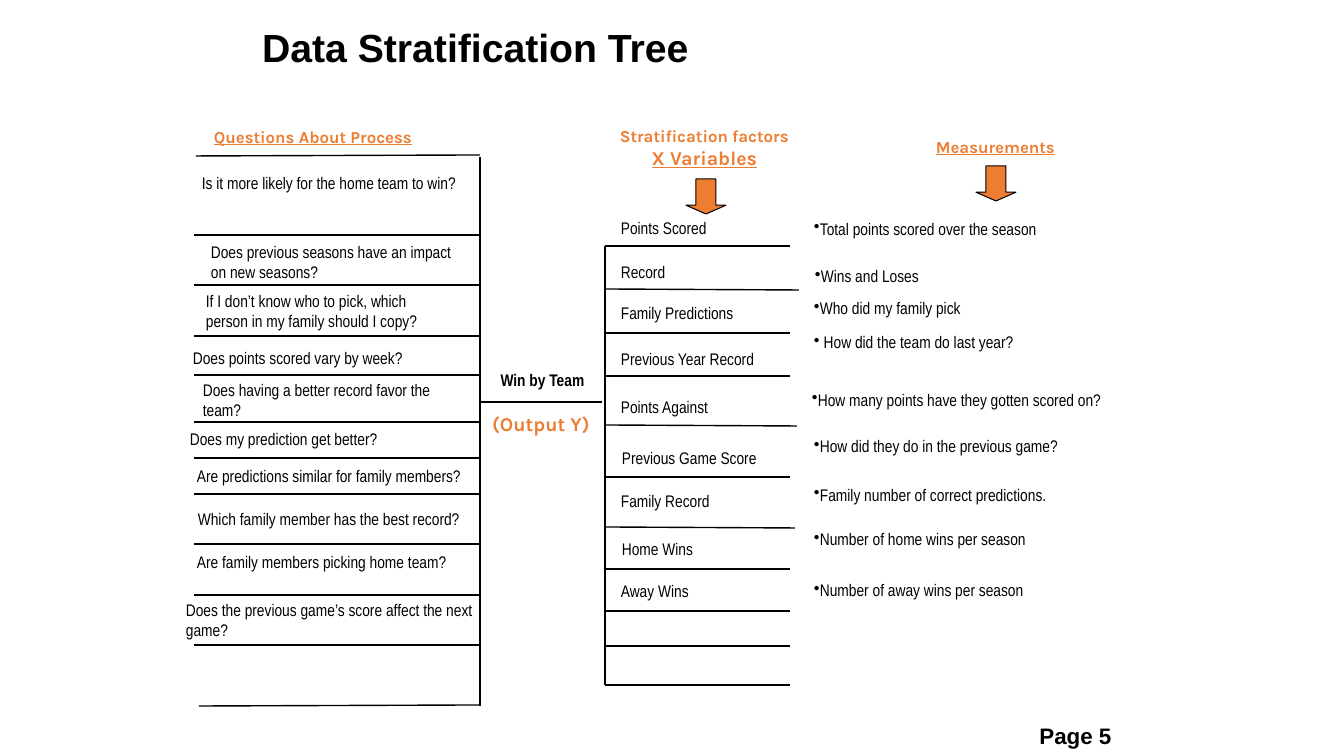
from lxml import etree
from pptx import Presentation
from pptx.dml.color import RGBColor
from pptx.enum.shapes import MSO_CONNECTOR, MSO_SHAPE
from pptx.enum.text import MSO_ANCHOR, PP_ALIGN
from pptx.oxml.ns import qn
from pptx.util import Pt

STRAIGHT = MSO_CONNECTOR.STRAIGHT
DOWN_ARROW = MSO_SHAPE.DOWN_ARROW
MIDDLE = MSO_ANCHOR.MIDDLE
LEFT = PP_ALIGN.LEFT
CENTER = PP_ALIGN.CENTER

SCALE = 914400 / 100.8
BLACK = RGBColor.from_string("000000")
ORANGE = RGBColor.from_string("ED7D31")


def px(*lengths):
    """Turn pixel lengths into a list of EMU lengths."""
    return [round(length * SCALE) for length in lengths]


def write(frame, lines, font="Arial Narrow", color=BLACK, bold=False,
          align=LEFT, spacing=None, bullet=False):
    """Fill a text frame with lines of (text, size, underline)."""
    frame.word_wrap = True
    for index, (text, size, underline) in enumerate(lines):
        paragraph = frame.paragraphs[0] if index == 0 else frame.add_paragraph()
        paragraph.alignment = align
        paragraph.line_spacing = spacing
        if bullet:
            properties = paragraph._p.get_or_add_pPr()
            properties.set("marL", "0")
            properties.set("indent", "0")
            etree.SubElement(properties, qn("a:buChar")).set("char", "•")
        run = paragraph.add_run()
        run.text = text
        run.font.name = font
        run.font.size = Pt(size)
        run.font.bold = bold
        run.font.underline = underline
        run.font.color.rgb = color


presentation = Presentation()
presentation.slide_width, presentation.slide_height = px(1344, 756)
slide = presentation.slides.add_slide(presentation.slide_layouts[5])
shapes = slide.shapes

title = shapes.title
title.left, title.top, title.width, title.height = px(252, 8, 857, 84)
title.text_frame.vertical_anchor = MIDDLE
write(title.text_frame, [("Data Stratification Tree", 28, False)],
      font="Arial", bold=True, spacing=0.9)

# Column headings and output label: box, lines, alignment, line spacing
headings = [
    ((204, 122, 229, 30), [("Questions About Process", 12, True)], LEFT, None),
    ((606, 121, 197, 54), [("Stratification factors", 12, False),
                           ("X Variables", 14, True)], CENTER, None),
    ((926, 132, 150, 30), [("Measurements", 12, True)], LEFT, None),
    ((474, 402, 134, 35), [("(Output Y)", 14, False)], CENTER, 1.2),
]
for box, lines, align, spacing in headings:
    write(shapes.add_textbox(*px(*box)).text_frame, lines, font="Karla",
          color=ORANGE, bold=True, align=align, spacing=spacing)

output = shapes.add_textbox(*px(459, 365, 167, 30))
write(output.text_frame, [("Win by Team", 12, False)], bold=True, align=CENTER)
page = shapes.add_textbox(*px(976, 717, 199, 37))
write(page.text_frame, [("Page 5", 16, False)], font="Arial", bold=True,
      align=CENTER)

# Questions: left, top, width, text
questions = [
    (192, 168, 307, "Is it more likely for the home team to win?"),
    (201, 237, 264, "Does previous seasons have an impact on new seasons?"),
    (196, 286, 262, "If I don’t know who to pick, which person in my family "
                    "should I copy?"),
    (183, 343, 296, "Does points scored vary by week?"),
    (193, 375, 252, "Does having a better record favor the team?"),
    (180, 424, 319, "Does my prediction get better?"),
    (187, 461, 299, "Are predictions similar for family members?"),
    (188, 504, 312, "Which family member has the best record?"),
    (187, 547, 302, "Are family members picking home team?"),
    (176, 595, 324, "Does the previous game’s score affect the next game?"),
]
for left, top, width, text in questions:
    box = shapes.add_textbox(*px(left, top, width, 30))
    write(box.text_frame, [(text, 12, False)])

# Factors and their measurements: left, top, text of each
factors = [
    (611, 213, "Points Scored", 804, 214, "Total points scored over the season"),
    (611, 257, "Record", 805, 261, "Wins and Loses"),
    (611, 298, "Family Predictions", 804, 293, "Who did my family pick"),
    (611, 344, "Previous Year Record", 804, 327,
     " How did the team do last year?"),
    (611, 392, "Points Against", 802, 385,
     "How many points have they gotten scored on?"),
    (612, 443, "Previous Game Score", 804, 431,
     "How did they do in the previous game?"),
    (611, 486, "Family Record", 804, 480,
     "Family number of correct predictions."),
    (612, 534, "Home Wins", 804, 524, "Number of home wins per season"),
    (611, 576, "Away Wins", 804, 575, "Number of away wins per season"),
]
for left, top, factor, measure_left, measure_top, measurement in factors:
    box = shapes.add_textbox(*px(left, top, 180, 30))
    write(box.text_frame, [(factor, 12, False)])
    box = shapes.add_textbox(*px(measure_left, measure_top, 350, 30))
    write(box.text_frame, [(measurement, 12, False)], bullet=True)

for left, top in [(686, 179), (976, 166)]:
    arrow = shapes.add_shape(DOWN_ARROW, *px(left, top, 40, 35))
    arrow.adjustments[0] = 0.5
    arrow.adjustments[1] = 0.25
    arrow.shadow.inherit = False
    arrow.fill.solid()
    arrow.fill.fore_color.rgb = ORANGE
    arrow.line.color.rgb = BLACK
    arrow.line.width = Pt(0.75)

# Tree lines: start x, start y, end x, end y
question_trunk, factor_trunk = 480, 605
tree_lines = [
    (question_trunk, 157, question_trunk, 706),
    (question_trunk, 155, 196, 156),
    (question_trunk, 705, 199, 706),
    (question_trunk, 402, 602, 402),
    (factor_trunk, 246, factor_trunk, 685),
    (factor_trunk, 289, 799, 290),
    (factor_trunk, 425, 797, 426),
    (factor_trunk, 527, 795, 528),
]
for y in (235, 285, 336, 375, 422, 458, 494, 544, 595, 645):
    tree_lines.append((question_trunk, y, 194, y))
for y in (246, 333, 376, 477, 569, 611, 646, 685):
    tree_lines.append((factor_trunk, y, 790, y))
for ends in tree_lines:
    line = shapes.add_connector(STRAIGHT, *px(*ends))
    line.line.color.rgb = BLACK
    line.line.width = Pt(1)
    etree.SubElement(line._element.spPr, qn("a:effectLst"))

presentation.save("out.pptx")
